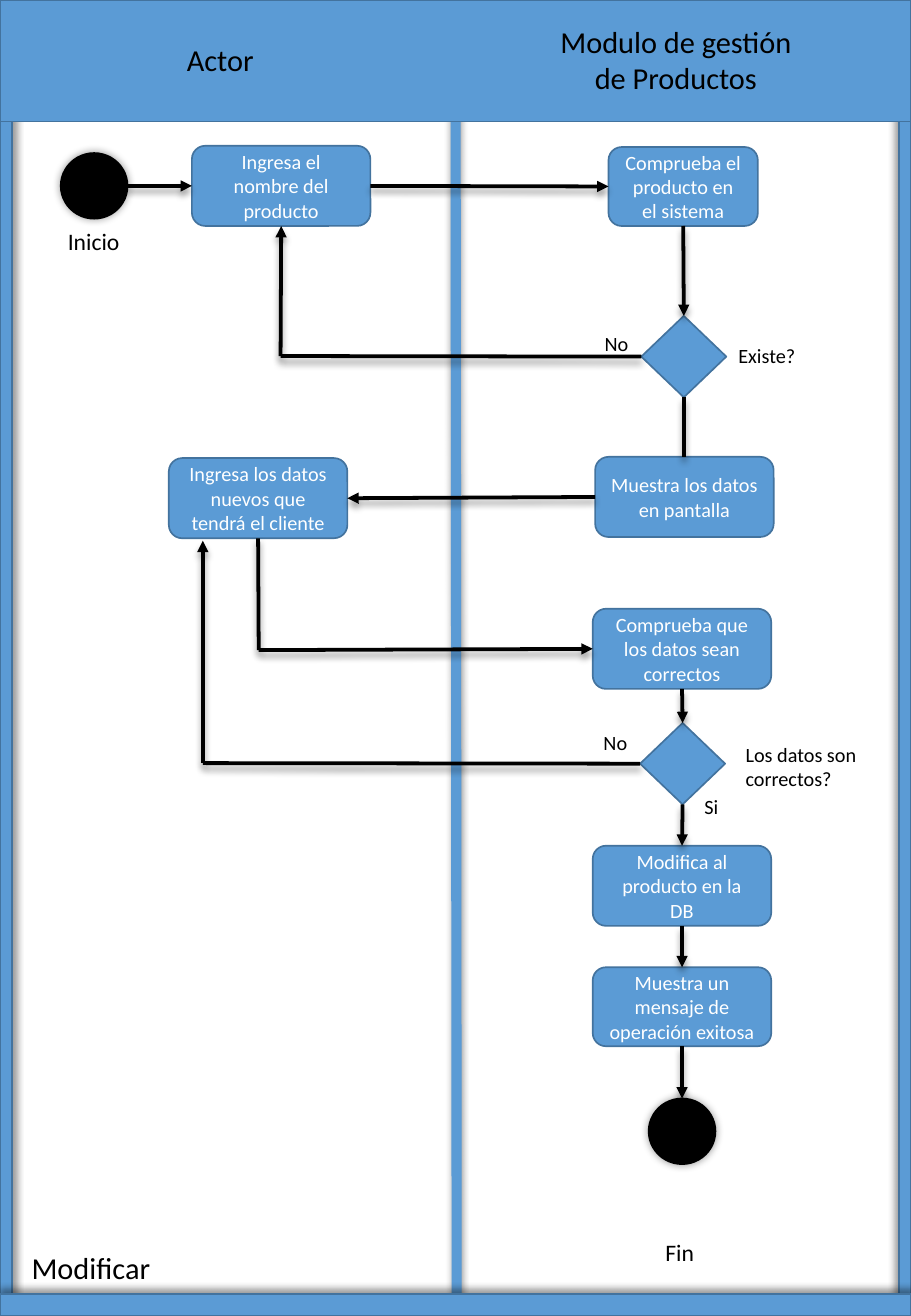
import dataclasses
import typing

import lxml.etree
import pptx
import pptx.dml.color
import pptx.enum.shapes
import pptx.enum.text
import pptx.oxml.ns
import pptx.util

Inches = pptx.util.Inches
Pt = pptx.util.Pt
Kind = pptx.enum.shapes.MSO_SHAPE
Align = pptx.enum.text.PP_ALIGN
Anchor = pptx.enum.text.MSO_ANCHOR
Fit = pptx.enum.text.MSO_AUTO_SIZE
qn = pptx.oxml.ns.qn

BLUE, EDGE, BLACK, WHITE = "5B9BD5", "43739E", "000000", "FFFFFF"
WIDE, HIGH = 7.5, 10.83
TOP, LEFT, BOTTOM, RIGHT = range(4)

Point = tuple[float, float]
Side = tuple[str, int]


@dataclasses.dataclass
class Bar:
    left: float
    top: float
    width: float
    height: float
    angle: int | None = None


@dataclasses.dataclass
class Node:
    name: str
    kind: typing.Any
    left: float
    top: float
    width: float
    height: float
    text: str = ""


@dataclasses.dataclass
class Label:
    text: str
    left: float
    top: float
    width: float
    height: float
    size: int = 12
    wrap: bool = False
    align: typing.Any = Align.LEFT


@dataclasses.dataclass
class Flow:
    start: Point | Side
    end: Point | Side
    arrow: bool = True


BARS = [
    Bar(0, 0, 0.1, HIGH, 45),
    Bar(WIDE - 0.1, 0, 0.1, HIGH, 225),
    Bar(0, HIGH - 0.18, WIDE, 0.18, 270),
    Bar(0, 0, WIDE, 1),
]
BOX, GATE, DOT = Kind.ROUNDED_RECTANGLE, Kind.FLOWCHART_DECISION, Kind.OVAL
NODES = [
    Node("start", DOT, 0.5, 1.26, 0.55, 0.54),
    Node("name", BOX, 1.58, 1.2, 1.47, 0.66, "Ingresa el nombre del producto"),
    Node("search", BOX, 5.01, 1.21, 1.23, 0.65, "Comprueba el producto en el sistema"),
    Node("exists", GATE, 5.28, 2.6, 0.7, 0.67),
    Node("show", BOX, 4.9, 3.76, 1.47, 0.66, "Muestra los datos en pantalla"),
    Node("data", BOX, 1.39, 3.77, 1.47, 0.66, "Ingresa los datos nuevos que tendrá el cliente"),
    Node("check", BOX, 4.88, 5.01, 1.47, 0.66, "Comprueba que los datos sean correctos"),
    Node("valid", GATE, 5.27, 5.95, 0.7, 0.67),
    Node("change", BOX, 4.88, 6.96, 1.47, 0.66, "Modifica al producto en la DB"),
    Node("done", BOX, 4.88, 7.96, 1.47, 0.65, "Muestra un mensaje de operación exitosa"),
    Node("end", DOT, 5.34, 9.04, 0.55, 0.54),
]
LABELS = [
    Label("Actor", 1.44, 0.29, 0.76, 0.4, 18),
    Label("Modulo de gestión\nde Productos", 4.5, 0.14, 2.13, 0.71, 18, align=Align.CENTER),
    Label("Inicio", 0.46, 1.82, 0.63, 0.34, 14),
    Label("Existe?", 5.98, 2.78, 0.68, 0.3),
    Label("No", 4.88, 2.68, 0.4, 0.3),
    Label("Los datos son correctos?", 6.04, 6.06, 1.27, 0.5, wrap=True),
    Label("No", 4.87, 5.96, 0.4, 0.3),
    Label("Si", 5.7, 6.49, 0.32, 0.3),
    Label("Fin", 5.38, 10.14, 0.44, 0.34, 14),
]
TITLE = Label("Modificar", 0.16, 10.23, 1.19, 0.4, 18)
FLOWS = [
    Flow((1.05, 1.53), ("name", LEFT)),
    Flow(("name", RIGHT), ("search", LEFT)),
    Flow(("search", BOTTOM), ("exists", TOP)),
    Flow(("exists", LEFT), (2.31, 2.93), False),
    Flow((2.31, 2.93), ("name", BOTTOM)),
    Flow(("exists", BOTTOM), (5.63, 3.76), False),
    Flow(("show", LEFT), ("data", RIGHT)),
    Flow(("data", BOTTOM), (2.13, 5.35), False),
    Flow((2.13, 5.35), ("check", LEFT)),
    Flow(("check", BOTTOM), ("valid", TOP)),
    Flow(("valid", LEFT), (1.67, 6.28), False),
    Flow((1.67, 6.28), (1.67, 4.45)),
    Flow(("valid", BOTTOM), ("change", TOP)),
    Flow(("change", BOTTOM), ("done", TOP)),
    Flow(("done", BOTTOM), ("end", TOP)),
]


def color(code: str) -> pptx.dml.color.RGBColor:
    return pptx.dml.color.RGBColor.from_string(code)


def shade(shape: typing.Any, angle: int, blur: float = 4, gap: float = 3) -> None:
    props = shape.element.spPr
    effects = props.find(qn("a:effectLst"))
    if effects is None:
        effects = lxml.etree.SubElement(props, qn("a:effectLst"))
    outer = lxml.etree.SubElement(
        effects, qn("a:outerShdw"), blurRad=str(Pt(blur)), dist=str(Pt(gap)),
        dir=str(angle * 60000), algn="ctr", rotWithShape="0")
    tone = lxml.etree.SubElement(outer, qn("a:srgbClr"), val=BLACK)
    lxml.etree.SubElement(tone, qn("a:alpha"), val="40000")


def write(shape: typing.Any, text: str, *, size: int = 12, ink: str = BLACK,
          align: typing.Any = Align.LEFT, anchor: typing.Any = Anchor.TOP,
          wrap: bool = True, fit: typing.Any = Fit.NONE) -> None:
    frame = shape.text_frame
    frame.text = text
    frame.word_wrap = wrap
    frame.auto_size = fit
    frame.vertical_anchor = anchor
    for para in frame.paragraphs:
        para.alignment = align
        for run in para.runs:
            run.font.name = "Calibri"
            run.font.size = Pt(size)
            run.font.color.rgb = color(ink)


def place(item: Bar | Node | Label) -> list[int]:
    return [Inches(n) for n in (item.left, item.top, item.width, item.height)]


def draw(slide: typing.Any, kind: typing.Any, item: Bar | Node,
         fill: str = BLUE, edge: str = EDGE) -> typing.Any:
    shape = slide.shapes.add_shape(kind, *place(item))
    shape.shadow.inherit = False
    shape.fill.solid()
    shape.fill.fore_color.rgb = color(fill)
    shape.line.color.rgb = color(edge)
    shape.line.width = Pt(1)
    return shape


def label(shape: typing.Any, item: Label) -> None:
    write(shape, item.text, size=item.size, align=item.align,
          wrap=item.wrap, fit=Fit.SHAPE_TO_FIT_TEXT)


def link(slide: typing.Any, flow: Flow, nodes: dict[str, typing.Any],
         ink: str = BLACK, width: float = 2.25, angle: int = 90) -> None:
    ends = [(0, 0) if isinstance(p[0], str) else p for p in (flow.start, flow.end)]
    line = slide.shapes.add_connector(
        pptx.enum.shapes.MSO_CONNECTOR.STRAIGHT, *[Inches(n) for p in ends for n in p])
    for spot, join in ((flow.start, line.begin_connect), (flow.end, line.end_connect)):
        if isinstance(spot[0], str):
            join(nodes[spot[0]], spot[1])
    line.line.color.rgb = color(ink)
    line.line.width = Pt(width)
    if flow.arrow:
        lxml.etree.SubElement(line.line._get_or_add_ln(), qn("a:tailEnd"), type="triangle")
    shade(line, angle)


def main() -> None:
    deck = pptx.Presentation()
    deck.slide_width, deck.slide_height = Inches(WIDE), Inches(HIGH)
    slide = deck.slides.add_slide(deck.slide_layouts[5])

    # Title
    title = slide.shapes.title
    title.left, title.top, title.width, title.height = place(TITLE)
    label(title, TITLE)

    # Lanes
    link(slide, Flow((3.75, 0), (3.76, HIGH), False), {}, BLUE, 6, 270)
    for bar in BARS:
        shape = draw(slide, Kind.RECTANGLE, bar)
        if bar.angle is not None:
            shade(shape, bar.angle)

    # Steps
    nodes = {}
    for node in NODES:
        if node.kind == DOT:
            shape = draw(slide, DOT, node, BLACK, BLACK)
            shade(shape, 0, 5, 0)
        else:
            shape = draw(slide, node.kind, node)
        if node.text:
            write(shape, node.text, ink=WHITE, align=Align.CENTER, anchor=Anchor.MIDDLE)
        nodes[node.name] = shape

    # Flow lines
    for flow in FLOWS:
        link(slide, flow, nodes)

    # Labels
    for item in LABELS:
        label(slide.shapes.add_textbox(*place(item)), item)

    deck.save("out.pptx")


if __name__ == "__main__":
    main()
